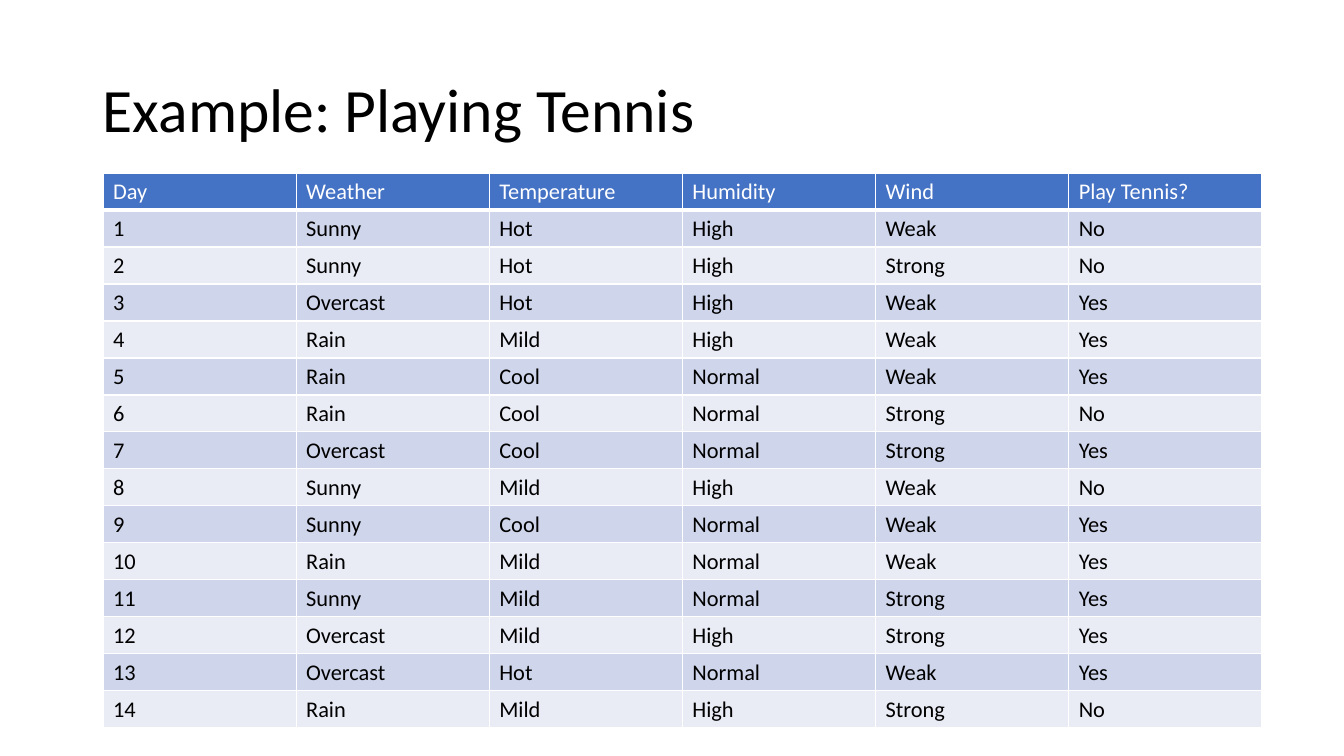
from dataclasses import dataclass

from lxml.etree import SubElement
from pptx import Presentation
from pptx.dml.color import RGBColor
from pptx.enum.text import MSO_ANCHOR
from pptx.oxml.ns import qn
from pptx.util import Emu, Pt

EMU_PER_PX = 914400 / 100.8


@dataclass(frozen=True)
class Theme:
    font: str = "Calibri"
    title_size: int = 44
    cell_size: int = 16
    text: str = "000000"
    header_text: str = "FFFFFF"
    header_fill: str = "4472C4"
    band_fills: tuple = ("CFD5EA", "E9EBF5")
    border: str = "FFFFFF"
    border_width: int = 1
    header_rule_width: int = 3


THEME = Theme()

HEADERS = ("Day", "Weather", "Temperature", "Humidity", "Wind", "Play Tennis?")
OBSERVATIONS = (
    ("Sunny", "Hot", "High", "Weak", "No"),
    ("Sunny", "Hot", "High", "Strong", "No"),
    ("Overcast", "Hot", "High", "Weak", "Yes"),
    ("Rain", "Mild", "High", "Weak", "Yes"),
    ("Rain", "Cool", "Normal", "Weak", "Yes"),
    ("Rain", "Cool", "Normal", "Strong", "No"),
    ("Overcast", "Cool", "Normal", "Strong", "Yes"),
    ("Sunny", "Mild", "High", "Weak", "No"),
    ("Sunny", "Cool", "Normal", "Weak", "Yes"),
    ("Rain", "Mild", "Normal", "Weak", "Yes"),
    ("Sunny", "Mild", "Normal", "Strong", "Yes"),
    ("Overcast", "Mild", "High", "Strong", "Yes"),
    ("Overcast", "Hot", "Normal", "Weak", "Yes"),
    ("Rain", "Mild", "High", "Strong", "No"),
)


def px(length):
    return Emu(round(length * EMU_PER_PX))


def write(text_frame, text, size, color):
    paragraph = text_frame.paragraphs[0]
    run = paragraph.add_run()
    run.text = text
    font_format = {"name": THEME.font, "size": Pt(size), "bold": False}
    for name, value in font_format.items():
        setattr(run.font, name, value)
    run.font.color.rgb = RGBColor.from_string(color)
    return paragraph


def add_borders(cell, bottom_width):
    properties = cell._tc.get_or_add_tcPr()
    widths = {side: THEME.border_width for side in ("a:lnL", "a:lnR", "a:lnT")}
    widths["a:lnB"] = bottom_width
    for side, width in widths.items():
        line = SubElement(properties, qn(side), w=str(Pt(width)))
        fill = SubElement(line, qn("a:solidFill"))
        SubElement(fill, qn("a:srgbClr"), val=THEME.border)


def add_title(slide, box, text):
    text_frame = slide.shapes.add_textbox(*map(px, box)).text_frame
    frame_format = {"word_wrap": True, "vertical_anchor": MSO_ANCHOR.MIDDLE}
    for name, value in frame_format.items():
        setattr(text_frame, name, value)
    paragraph = write(text_frame, text, THEME.title_size, THEME.text)
    paragraph.line_spacing = 0.9


def add_observation_table(slide, box):
    days = [(str(day), *values) for day, values in enumerate(OBSERVATIONS, 1)]
    rows = [HEADERS, *days]
    frame = slide.shapes.add_table(len(rows), len(HEADERS), *map(px, box))
    table = frame.table

    for row_index, values in enumerate(rows):
        # Header row, then alternating bands
        if row_index == 0:
            fill, color = THEME.header_fill, THEME.header_text
            bottom_width = THEME.header_rule_width
        else:
            fill, color = THEME.band_fills[(row_index - 1) % 2], THEME.text
            bottom_width = THEME.border_width

        for column_index, value in enumerate(values):
            cell = table.cell(row_index, column_index)
            add_borders(cell, bottom_width)
            cell.fill.solid()
            cell.fill.fore_color.rgb = RGBColor.from_string(fill)
            write(cell.text_frame, value, THEME.cell_size, color)


def main():
    presentation = Presentation()
    presentation.slide_width = px(1344)
    presentation.slide_height = px(756)
    slide = presentation.slides.add_slide(presentation.slide_layouts[6])

    # Title
    add_title(slide, (93, 40, 1159, 146), "Example: Playing Tennis")
    # Weather observations
    add_observation_table(slide, (103, 173, 1159, 555))

    presentation.save("out.pptx")


if __name__ == "__main__":
    main()
